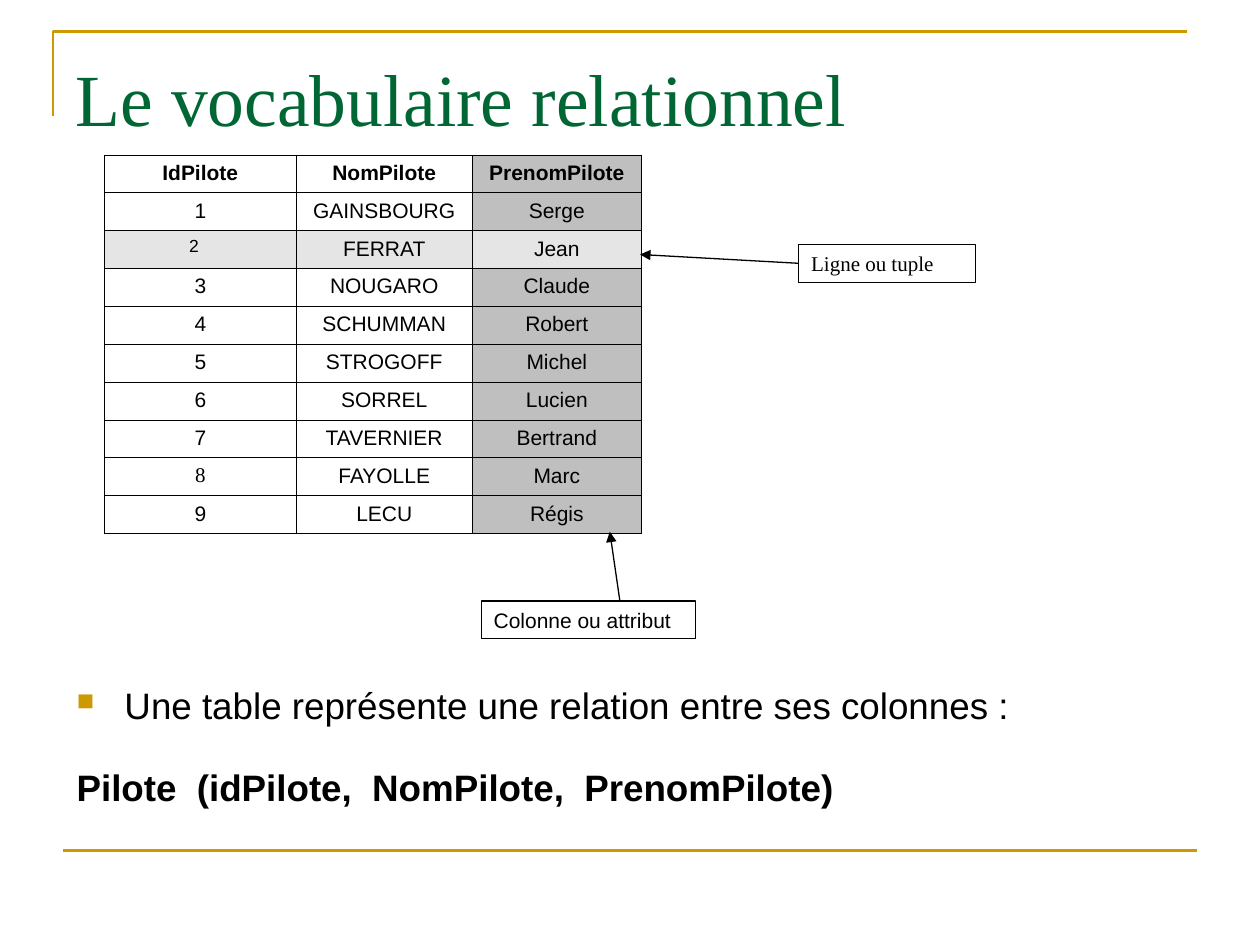
"""Build the slide on relational vocabulary, with its annotated pilot table."""
from lxml import etree
from pptx import Presentation
from pptx import util as u
from pptx.dml import color
from pptx.enum import shapes, text
from pptx.oxml import ns

Inches = u.Inches
COLORS = {"gold": "CC9900", "green": "006633", "black": "000000",
          "white": "FFFFFF", "column": "BFBFBF", "tuple": "E5E5E5"}
SANS, SERIF = "Arial", "Times New Roman"


def add_run(para, words, size, font=SANS, tint="black", bold=False):
    span = para.add_run()
    span.text = words
    span.font.size = u.Pt(size)
    span.font.name = font
    span.font.bold = bold
    span.font.color.rgb = color.RGBColor.from_string(COLORS[tint])


def add_line(page, start, end, tint="black", width=0.75, arrow=False):
    line = page.shapes.add_connector(
        shapes.MSO_CONNECTOR.STRAIGHT, *map(Inches, start + end))
    line.line.color.rgb = color.RGBColor.from_string(COLORS[tint])
    line.line.width = u.Pt(width)
    if arrow:
        etree.SubElement(line.line._get_or_add_ln(), ns.qn("a:tailEnd"), type="triangle")
    etree.SubElement(line._element.spPr, ns.qn("a:effectLst"))
    return line


deck = Presentation()
deck.slide_width, deck.slide_height = Inches(10), Inches(7.5)
page = deck.slides.add_slide(deck.slide_layouts[6])

builder = page.shapes.build_freeform(Inches(0.42), Inches(0.92), scale=1.0)
builder.add_line_segments(
    [(Inches(0.42), Inches(0.25)), (Inches(9.42), Inches(0.25))], close=False)
corner = builder.convert_to_shape()
corner.shadow.inherit = False
corner.fill.background()
corner.line.color.rgb = color.RGBColor.from_string(COLORS["gold"])
corner.line.width = u.Pt(1.5)
add_line(page, (0.5, 6.75), (9.5, 6.75), "gold", 1.5)

title = page.shapes.add_textbox(Inches(0.5), Inches(0.3), Inches(9), Inches(1.25))
title.text_frame.word_wrap = True
title.text_frame.margin_top = Inches(0.12)
add_run(title.text_frame.paragraphs[0], "Le vocabulaire relationnel", 42, SERIF, "green")

pilots = [
    ("IdPilote", "NomPilote", "PrenomPilote"),
    ("1", "GAINSBOURG", "Serge"),
    ("2", "FERRAT", "Jean"),
    ("3", "NOUGARO", "Claude"),
    ("4", "SCHUMMAN", "Robert"),
    ("5", "STROGOFF", "Michel"),
    ("6", "SORREL", "Lucien"),
    ("7", "TAVERNIER", "Bertrand"),
    ("8", "FAYOLLE", "Marc"),
    ("9", "LECU", "Régis"),
]
widths = (1.52, 1.4, 1.34)
tuple_row, attribute_column = 2, 2
table = page.shapes.add_table(
    len(pilots), len(widths), Inches(0.83), Inches(1.23),
    Inches(sum(widths)), Inches(0.3 * len(pilots))).table
table.first_row = table.horz_banding = False
for column, width in zip(table.columns, widths):
    column.width = Inches(width)
for r, pilot in enumerate(pilots):
    table.rows[r].height = Inches(0.3)
    for c, value in enumerate(pilot):
        cell = table.cell(r, c)
        props = cell._tc.get_or_add_tcPr()
        for side in ("lnL", "lnR", "lnT", "lnB"):
            border = etree.SubElement(props, ns.qn(f"a:{side}"), w=str(u.Pt(0.45)))
            paint = etree.SubElement(border, ns.qn("a:solidFill"))
            etree.SubElement(paint, ns.qn("a:srgbClr"), val=COLORS["black"])
        shade = "tuple" if r == tuple_row else "column" if c == attribute_column else None
        if shade:
            cell.fill.solid()
            cell.fill.fore_color.rgb = color.RGBColor.from_string(COLORS[shade])
        else:
            cell.fill.background()
        para = cell.text_frame.paragraphs[0]
        if value == "2":
            para._p.get_or_add_pPr().set("marL", str(Inches(0.57)))
        else:
            para.alignment = text.PP_ALIGN.CENTER
        add_run(para, value, 10 if value == "2" else 12,
                SERIF if value == "8" else SANS, bold=r == 0)

callouts = {}
for label, left, top, width, font in (
        ("Ligne ou tuple", 6.34, 1.94, 1.4, SERIF),
        ("Colonne ou attribut", 3.82, 4.77, 1.7, SANS)):
    box = page.shapes.add_shape(
        shapes.MSO_SHAPE.RECTANGLE, Inches(left), Inches(top), Inches(width), Inches(0.3))
    box.shadow.inherit = False
    box.fill.solid()
    box.fill.fore_color.rgb = color.RGBColor.from_string(COLORS["white"])
    box.line.color.rgb = color.RGBColor.from_string(COLORS["black"])
    box.line.width = u.Pt(0.75)
    box.text_frame.word_wrap = True
    box.text_frame.vertical_anchor = text.MSO_ANCHOR.TOP
    para = box.text_frame.paragraphs[0]
    para.alignment = text.PP_ALIGN.LEFT
    add_run(para, label, 12, font)
    callouts[label] = box

row_arrow = add_line(page, (6.34, 2.09), (5.08, 2.02), arrow=True)
row_arrow.begin_connect(callouts["Ligne ou tuple"], 1)
add_line(page, (4.92, 4.77), (4.84, 4.22), arrow=True)

body = page.shapes.add_textbox(Inches(0.51), Inches(5.01), Inches(9), Inches(1.49))
body.text_frame.word_wrap = True
body.text_frame.margin_top = Inches(0.41)
statement = body.text_frame.paragraphs[0]
add_run(statement, "Une table représente une relation entre ses colonnes :", 21)
props = statement._p.get_or_add_pPr()
props.set("marL", str(Inches(0.38)))
props.set("indent", str(-Inches(0.38)))
paint = etree.SubElement(props, ns.qn("a:buClr"))
etree.SubElement(paint, ns.qn("a:srgbClr"), val=COLORS["gold"])
etree.SubElement(props, ns.qn("a:buSzPct"), val="65000")
etree.SubElement(props, ns.qn("a:buChar"), char="■")
schema = body.text_frame.add_paragraph()
schema.space_before = u.Pt(21.6)
add_run(schema, "Pilote  (idPilote,  NomPilote,  PrenomPilote)", 21, bold=True)

deck.save("out.pptx")
